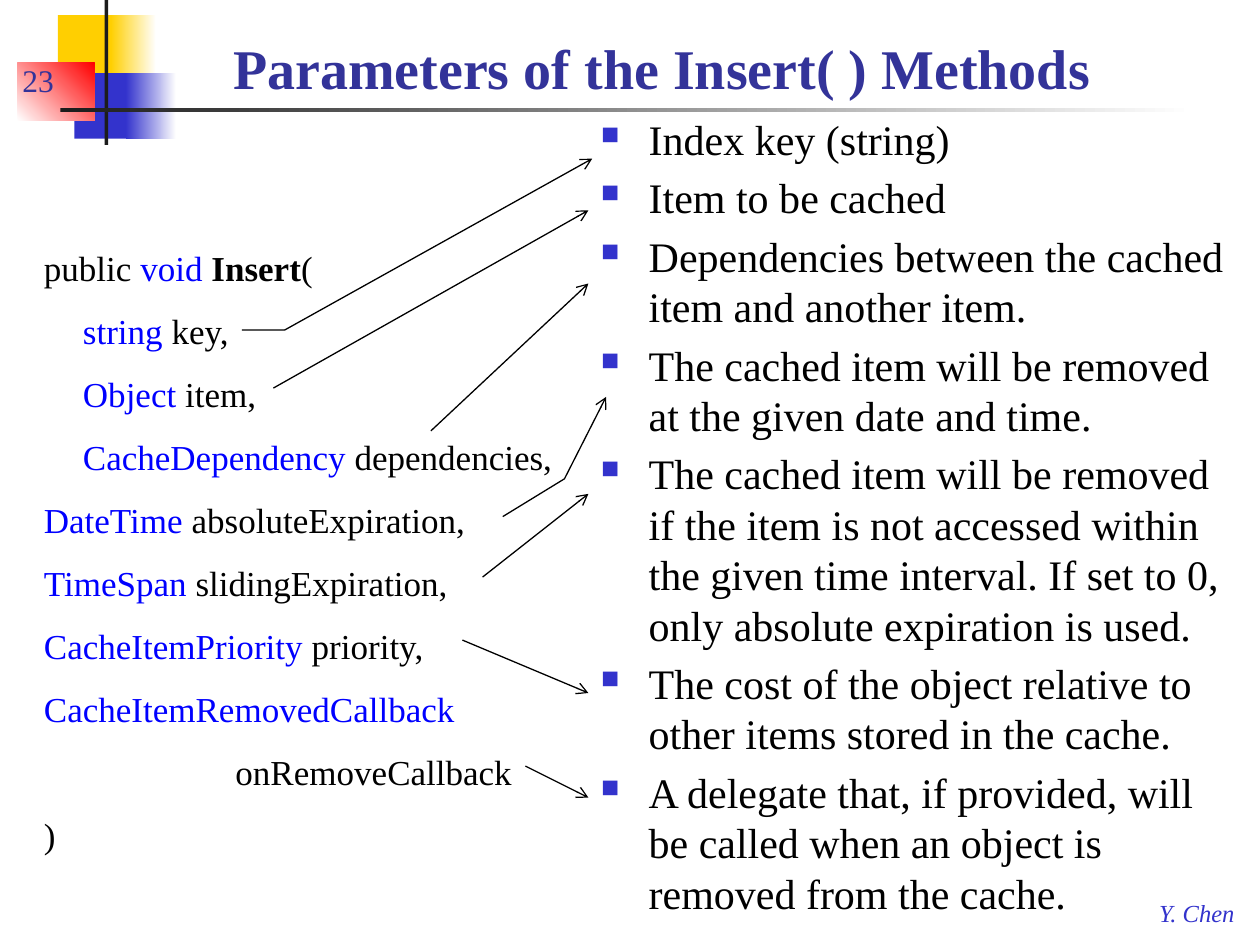
from lxml import etree
from pptx import Presentation
from pptx.dml.color import RGBColor
from pptx.enum.shapes import MSO_CONNECTOR, MSO_SHAPE
from pptx.enum.text import MSO_ANCHOR, PP_ALIGN
from pptx.oxml.ns import qn
from pptx.util import Inches, Pt

STRAIGHT, RECTANGLE = MSO_CONNECTOR.STRAIGHT, MSO_SHAPE.RECTANGLE
TOP, BOTTOM, LEFT = MSO_ANCHOR.TOP, MSO_ANCHOR.BOTTOM, PP_ALIGN.LEFT
TITLE_ONLY = 5

BLACK = RGBColor(0x00, 0x00, 0x00)
WHITE = RGBColor(0xFF, 0xFF, 0xFF)
CHARCOAL = RGBColor(0x1C, 0x1C, 0x1C)
YELLOW = RGBColor(0xFF, 0xCF, 0x01)
RED = RGBColor(0xFF, 0x00, 0x00)
INDIGO = RGBColor(0x33, 0x33, 0xCC)
NAVY = RGBColor(0x33, 0x33, 0x99)
KEYWORD = RGBColor(0x00, 0x00, 0xFF)


def add_run(paragraph, text, size=20, color=BLACK, bold=False, italic=False):
    """Add one formatted run to a paragraph."""
    run = paragraph.add_run()
    run.text = text
    font = run.font
    font.name, font.size = "Times New Roman", Pt(size)
    font.bold, font.italic = bold, italic
    font.color.rgb = color


def add_child(parent, tag, **attributes):
    """Append a drawing element with the given attributes."""
    return etree.SubElement(parent, qn(tag), attributes)


class SlideBuilder:
    """Holds the slide and draws its elements in one style."""

    def __init__(self, deck):
        self.slide = deck.slides.add_slide(deck.slide_layouts[TITLE_ONLY])
        self.shapes = self.slide.shapes

    def block(self, box, color, fade_to=None, angle=0):
        """Draw a borderless rectangle, plain or fading to a second colour."""
        shape = self.shapes.add_shape(RECTANGLE, *map(Inches, box))
        shape.shadow.inherit = False
        shape.line.fill.background()
        if fade_to is None:
            shape.fill.solid()
            shape.fill.fore_color.rgb = color
            return
        shape.fill.gradient()
        shape.fill.gradient_angle = angle
        for stop, shade in zip(shape.fill.gradient_stops, (color, fade_to)):
            stop.color.rgb = shade

    def title(self, text, box, **style):
        """Place and fill the title placeholder, in front of the decoration."""
        title = self.shapes.title
        title.left, title.top, title.width, title.height = map(Inches, box)
        title.text_frame.vertical_anchor = BOTTOM
        paragraph = title.text_frame.paragraphs[0]
        paragraph.alignment = LEFT
        add_run(paragraph, text, **style)

    def frame(self, box, anchor=TOP, wrap=True):
        """Add an empty text box and return its text frame."""
        frame = self.shapes.add_textbox(*map(Inches, box)).text_frame
        frame.word_wrap, frame.vertical_anchor = wrap, anchor
        return frame

    def label(self, text, box, anchor=TOP, wrap=True, **style):
        """Add a text box of one paragraph."""
        add_run(self.frame(box, anchor, wrap).paragraphs[0], text, **style)

    def bullets(self, items, box):
        """Add a list with square bullets."""
        frame = self.frame(box)
        for number, item in enumerate(items):
            paragraph = frame.add_paragraph() if number else frame.paragraphs[0]
            paragraph.space_before = Pt(4.6)
            add_run(paragraph, item, size=24)
            properties = paragraph._p.get_or_add_pPr()
            properties.set("marL", str(Inches(0.38)))
            properties.set("indent", str(-Inches(0.38)))
            bullet_color = add_child(properties, "a:buClr")
            add_child(bullet_color, "a:srgbClr", val=str(INDIGO))
            add_child(properties, "a:buSzPct", val="60000")
            add_child(properties, "a:buChar", char="■")

    def code(self, lines, box):
        """Add code lines, each an indent and a list of (text, style) parts."""
        frame = self.frame(box)
        for number, (indent, parts) in enumerate(lines):
            paragraph = frame.add_paragraph() if number else frame.paragraphs[0]
            paragraph.line_spacing = 1.5
            paragraph._p.get_or_add_pPr().set("marL", str(Inches(indent)))
            for text, style in parts:
                add_run(paragraph, text, **style)

    def arrow(self, *points):
        """Draw an open-headed arrow through two or more points."""
        corners = [(Inches(x), Inches(y)) for x, y in points]
        if len(corners) == 2:
            line = self.shapes.add_connector(STRAIGHT, *corners[0], *corners[1])
            add_child(line._element.spPr, "a:effectLst")
        else:
            outline = self.shapes.build_freeform(*corners[0])
            outline.add_line_segments(corners[1:], close=False)
            line = outline.convert_to_shape()
            line.shadow.inherit = False
            line.fill.background()
        line.line.color.rgb = BLACK
        line.line.width = Pt(0.75)
        add_child(line.line._get_or_add_ln(), "a:tailEnd", type="arrow")


BLOCKS = [
    ((0.46, 0.12, 0.48, 0.52), YELLOW),
    ((0.88, 0.12, 0.36, 0.52), YELLOW, WHITE),
    ((0.59, 0.58, 0.46, 0.52), INDIGO),
    ((1, 0.58, 0.4, 0.52), INDIGO, WHITE),
    ((0.14, 0.5, 0.61, 0.46), WHITE, RED, 45),
    ((0.83, 0, 0.03, 1.15), CHARCOAL),
    ((0.48, 0.86, 9, 0.03), CHARCOAL, WHITE),
]
MEANINGS = [
    "Index key (string)",
    "Item to be cached",
    "Dependencies between the cached item and another item.",
    "The cached item will be removed at the given date and time.",
    "The cached item will be removed if the item is not accessed within the "
    "given time interval. If set to 0, only absolute expiration is used.",
    "The cost of the object relative to other items stored in the cache.",
    "A delegate that, if provided, will be called when an object is removed "
    "from the cache.",
]
PARAMETERS = [
    (0.31, "string", " key,"),
    (0.31, "Object", " item,"),
    (0.31, "CacheDependency", " dependencies,"),
    (0, "DateTime", " absoluteExpiration,"),
    (0, "TimeSpan", " slidingExpiration,"),
    (0, "CacheItemPriority", " priority,"),
    (0, "CacheItemRemovedCallback", ""),
]
BLUE = {"color": KEYWORD}
SIGNATURE = [
    (0, [("public ", {}), ("void ", BLUE), ("Insert", {"bold": True}), ("(", {})]),
    *((indent, [(kind, BLUE)] + ([(name, {})] if name else []))
      for indent, kind, name in PARAMETERS),
    (1.52, [("onRemoveCallback", {})]),
    (0, [(")", {})]),
]
ARROWS = [
    ((2.17, 3.08), (4.67, 1.67)),
    ((3.42, 3.42), (4.67, 2.25)),
    ((3.83, 4.58), (4.67, 3.92)),
    ((3.99, 4.1), (4.48, 3.8), (4.81, 3.15)),
    ((3.67, 5.08), (4.67, 5.5)),
    ((4.17, 6.08), (4.67, 6.33)),
    ((1.92, 2.62), (2.26, 2.62), (4.7, 1.26)),
]

deck = Presentation()
deck.slide_width, deck.slide_height = Inches(10), Inches(7.5)
builder = SlideBuilder(deck)
for block in BLOCKS:
    builder.block(*block)
builder.label("Y. Chen", (9.1, 7.08, 0.82, 0.33), wrap=False,
              size=14, color=INDIGO, italic=True)
builder.title("Parameters of the Insert( ) Methods", (1.75, 0.17, 8.17, 0.68),
              size=32, color=NAVY, bold=True)
builder.bullets(MEANINGS, (4.67, 0.85, 5.25, 6.48))
builder.label("23", (0.08, 0.33, 0.75, 0.5), anchor=BOTTOM, size=18, color=NAVY)
builder.code(SIGNATURE, (0.25, 1.74, 4.42, 5.15))
for arrow in ARROWS:
    builder.arrow(*arrow)
deck.save("out.pptx")
